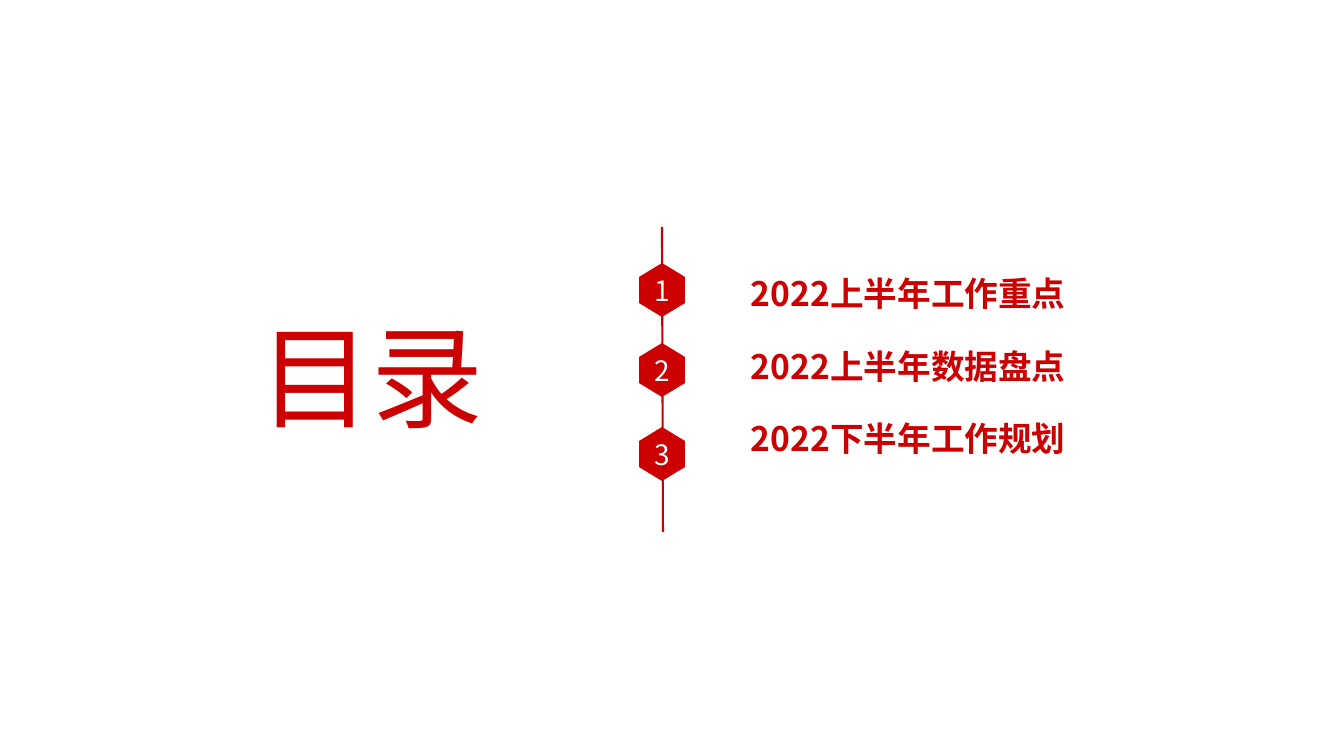
from pptx import Presentation
from pptx.dml.color import RGBColor
from pptx.enum.shapes import MSO_CONNECTOR
from pptx.enum.text import MSO_ANCHOR, PP_ALIGN
from pptx.oxml.ns import qn
from pptx.util import Pt
from lxml.etree import SubElement

RED = RGBColor(0xCC, 0x00, 0x00)
WHITE = RGBColor(0xFF, 0xFF, 0xFF)
FONT = "Noto Sans CJK SC"
EMU_PER_PX = 914400 / 100.8

TOPICS = ["2022上半年工作重点", "2022上半年数据盘点", "2022下半年工作规划"]
BADGE_TOPS = [263, 343, 427]
BADGE_LEFT, BADGE_WIDTH, BADGE_HEIGHT, BADGE_SHOULDER = 639, 46, 54, 14


def px(length):
    return round(length * EMU_PER_PX)


def style_paragraph(paragraph, size, color, bold=False):
    font = paragraph.font
    font.name, font.size, font.bold = FONT, Pt(size), bold
    font.color.rgb = color
    # East Asian characters take their font from a separate element
    properties = paragraph._p.pPr.find(qn("a:defRPr"))
    SubElement(properties, qn("a:ea")).set("typeface", FONT)


def add_text(slide, left, top, width, height, lines, size, bold=False,
             anchor=MSO_ANCHOR.TOP, gap=0, line_spacing=1.0):
    box = slide.shapes.add_textbox(px(left), px(top), px(width), px(height))
    frame = box.text_frame
    frame.word_wrap = True
    frame.vertical_anchor = anchor
    frame.text = "\n".join(lines)
    for index, paragraph in enumerate(frame.paragraphs):
        paragraph.line_spacing = line_spacing
        paragraph.space_before = Pt(gap if index else 0)
        style_paragraph(paragraph, size, RED, bold)


def add_timeline(slide, start, end):
    timeline = slide.shapes.add_connector(
        MSO_CONNECTOR.STRAIGHT, *map(px, start), *map(px, end))
    timeline.line.color.rgb = RED
    timeline.line.width = Pt(1.5)
    SubElement(timeline._element.spPr, qn("a:effectLst"))


def add_badge(slide, top, number):
    middle, right = BADGE_LEFT + BADGE_WIDTH // 2, BADGE_LEFT + BADGE_WIDTH
    bottom = top + BADGE_HEIGHT
    upper, lower = top + BADGE_SHOULDER, bottom - BADGE_SHOULDER
    outline = slide.shapes.build_freeform(middle, top, scale=EMU_PER_PX)
    outline.add_line_segments([
        (right, upper), (right, lower), (middle, bottom),
        (BADGE_LEFT, lower), (BADGE_LEFT, upper)])
    badge = outline.convert_to_shape()
    badge.shadow.inherit = False
    badge.fill.solid()
    badge.fill.fore_color.rgb = RED
    badge.line.fill.background()

    frame = badge.text_frame
    frame.margin_left = frame.margin_right = 0
    frame.margin_top = frame.margin_bottom = 0
    frame.vertical_anchor = MSO_ANCHOR.MIDDLE
    frame.text = str(number)
    paragraph = frame.paragraphs[0]
    paragraph.alignment = PP_ALIGN.CENTER
    style_paragraph(paragraph, 20, WHITE)


def main():
    presentation = Presentation()
    presentation.slide_width, presentation.slide_height = px(1344), px(756)
    slide = presentation.slides.add_slide(presentation.slide_layouts[6])

    # Heading
    add_text(slide, 250, 274, 261, 175, ["目录"], 80,
             anchor=MSO_ANCHOR.BOTTOM, line_spacing=0.9)

    # Timeline with numbered badges
    add_timeline(slide, (662, 227), (663, 532))
    for number, top in enumerate(BADGE_TOPS, start=1):
        add_badge(slide, top, number)

    # Topics
    add_text(slide, 741, 268, 361, 214, TOPICS, 24, bold=True, gap=23)

    presentation.save("out.pptx")


if __name__ == "__main__":
    main()
